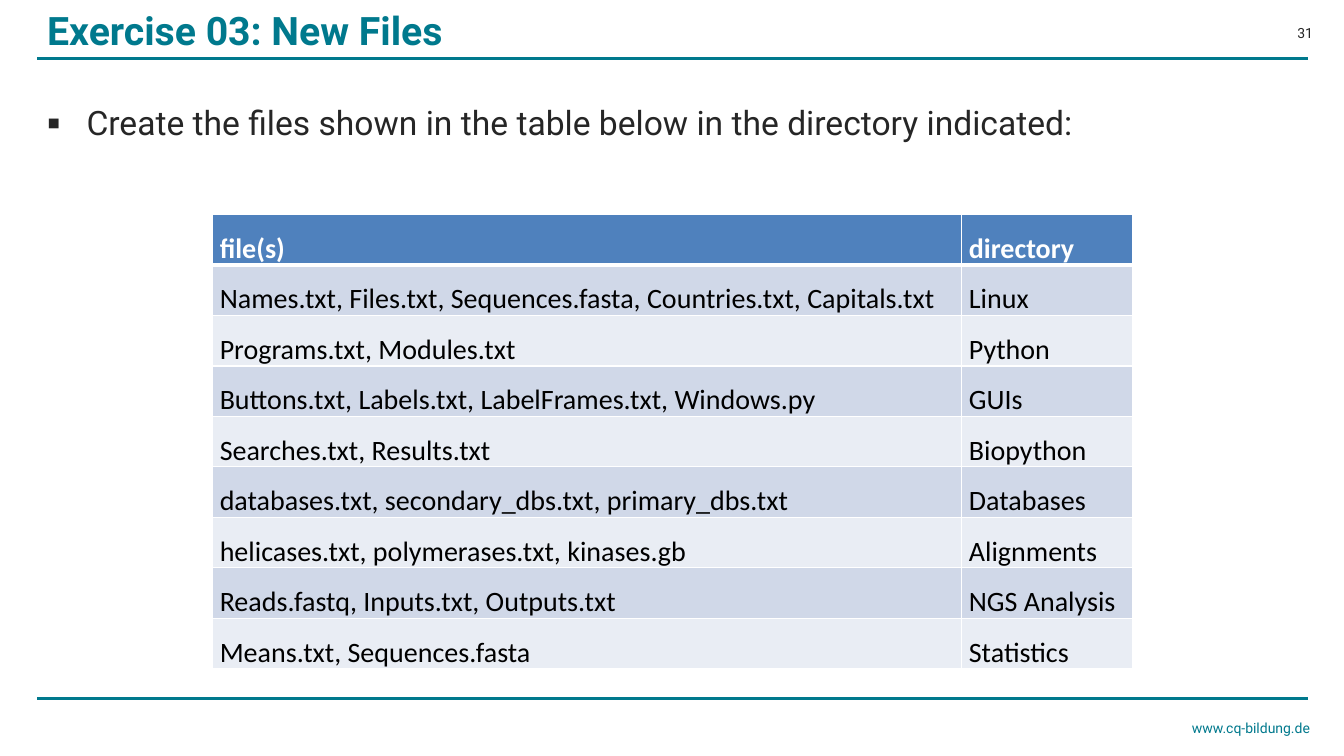
from lxml import etree
from pptx import Presentation
from pptx import util as u
from pptx.dml.color import RGBColor
from pptx.enum import shapes, text
from pptx.oxml import ns

SCALE = 9144  # EMU per px, 100 px to the inch
HUES = {
    "teal": "00798D", "ink": "262626", "head": "4F81BD", "dark": "D0D8E8",
    "light": "E9EDF4", "white": "FFFFFF", "black": "000000",
}
ROWS = [
    ("file(s)", "directory"),
    ("Names.txt, Files.txt, Sequences.fasta, Countries.txt, Capitals.txt", "Linux"),
    ("Programs.txt, Modules.txt", "Python"),
    ("Buttons.txt, Labels.txt, LabelFrames.txt, Windows.py", "GUIs"),
    ("Searches.txt, Results.txt", "Biopython"),
    ("databases.txt, secondary_dbs.txt, primary_dbs.txt", "Databases"),
    ("helicases.txt, polymerases.txt, kinases.gb", "Alignments"),
    ("Reads.fastq, Inputs.txt, Outputs.txt", "NGS Analysis"),
    ("Means.txt, Sequences.fasta", "Statistics"),
]


def px(n):
    return u.Emu(n * SCALE)


def hue(name):
    return RGBColor.from_string(HUES[name])


def sub(node, tag, **attrs):
    return etree.SubElement(node, ns.qn(tag), attrs)


class Page:
    face = "Roboto"
    grid_face = "Calibri"

    def __init__(self, deck):
        self.slide = deck.slides.add_slide(deck.slide_layouts[6])
        self.shapes = self.slide.shapes

    def style(self, para, size, color, bold=False, face=None):
        for run in para.runs:
            font = run.font
            font.name = face or self.face
            font.size = u.Pt(size)
            font.bold = bold
            font.color.rgb = hue(color)

    def rule(self, y):
        """Draw a line across the slide."""
        line = self.shapes.add_connector(
            shapes.MSO_CONNECTOR.STRAIGHT, px(37), px(y), px(1297), px(y))
        line.line.color.rgb = hue("teal")
        line.line.width = u.Pt(2)
        sub(line._element.spPr, "a:effectLst")

    def label(self, words, box, size, color, bold=False, right=False, middle=True):
        frame = self.shapes.add_textbox(*map(px, box)).text_frame
        frame.word_wrap = True
        frame.vertical_anchor = text.MSO_ANCHOR.MIDDLE if middle else text.MSO_ANCHOR.TOP
        frame.text = words
        para = frame.paragraphs[0]
        para.alignment = text.PP_ALIGN.RIGHT if right else text.PP_ALIGN.LEFT
        self.style(para, size, color, bold)
        return para

    def bullet(self, words, box):
        para = self.label(words, box, 24, "ink", middle=False)
        para.line_spacing = 1.5
        props = para._p.get_or_add_pPr()
        props.set("marL", str(px(39)))
        props.set("indent", str(px(-39)))
        sub(props, "a:buFont", typeface=self.face)
        sub(props, "a:buChar", char="▪")

    def edges(self, cell, base):
        """Border a cell in white; base is the width of its lower edge."""
        props = cell._tc.get_or_add_tcPr()
        for spot, (side, width) in enumerate(zip("LRTB", (1, 1, 1, base))):
            line = sub(props, "a:ln" + side, w=str(u.Pt(width)))
            sub(sub(line, "a:solidFill"), "a:srgbClr", val=HUES["white"])
            props.insert(spot, line)

    def cell(self, cell, words, fill, color, head):
        cell.fill.solid()
        cell.fill.fore_color.rgb = hue(fill)
        cell.margin_left = cell.margin_right = px(7)
        cell.margin_top = cell.margin_bottom = 0
        cell.text = words
        para = cell.text_frame.paragraphs[0]
        para.alignment = text.PP_ALIGN.JUSTIFY
        para.line_spacing = 1.5
        self.style(para, 20, color, head, self.grid_face)
        self.edges(cell, 3 if head else 1)

    def table(self, rows, left, top, widths, height):
        grid = self.shapes.add_table(
            len(rows), len(widths), px(left), px(top),
            px(sum(widths)), px(height * len(rows))).table
        for col, width in zip(grid.columns, widths):
            col.width = px(width)
        for r, row in enumerate(rows):
            head = r == 0
            fill = "head" if head else ("light", "dark")[r % 2]
            color = "white" if head else "black"
            for c, words in enumerate(row):
                self.cell(grid.cell(r, c), words, fill, color, head)


def main():
    deck = Presentation()
    deck.slide_width, deck.slide_height = px(1333), px(750)
    page = Page(deck)
    for y in (58, 693):
        page.rule(y)
    page.label("www.cq-bildung.de", (1110, 709, 199, 27), 10, "teal", right=True)
    page.label("31", (1244, 20, 68, 26), 10, "ink", right=True)
    page.bullet("Create the files shown in the table below in the directory indicated:",
                (37, 76, 1260, 80))
    page.table(ROWS, 211, 213, (743, 169), 41)
    page.label("Exercise 03: New Files", (37, 6, 1144, 47), 28, "teal", bold=True)
    deck.save("out.pptx")


if __name__ == "__main__":
    main()
